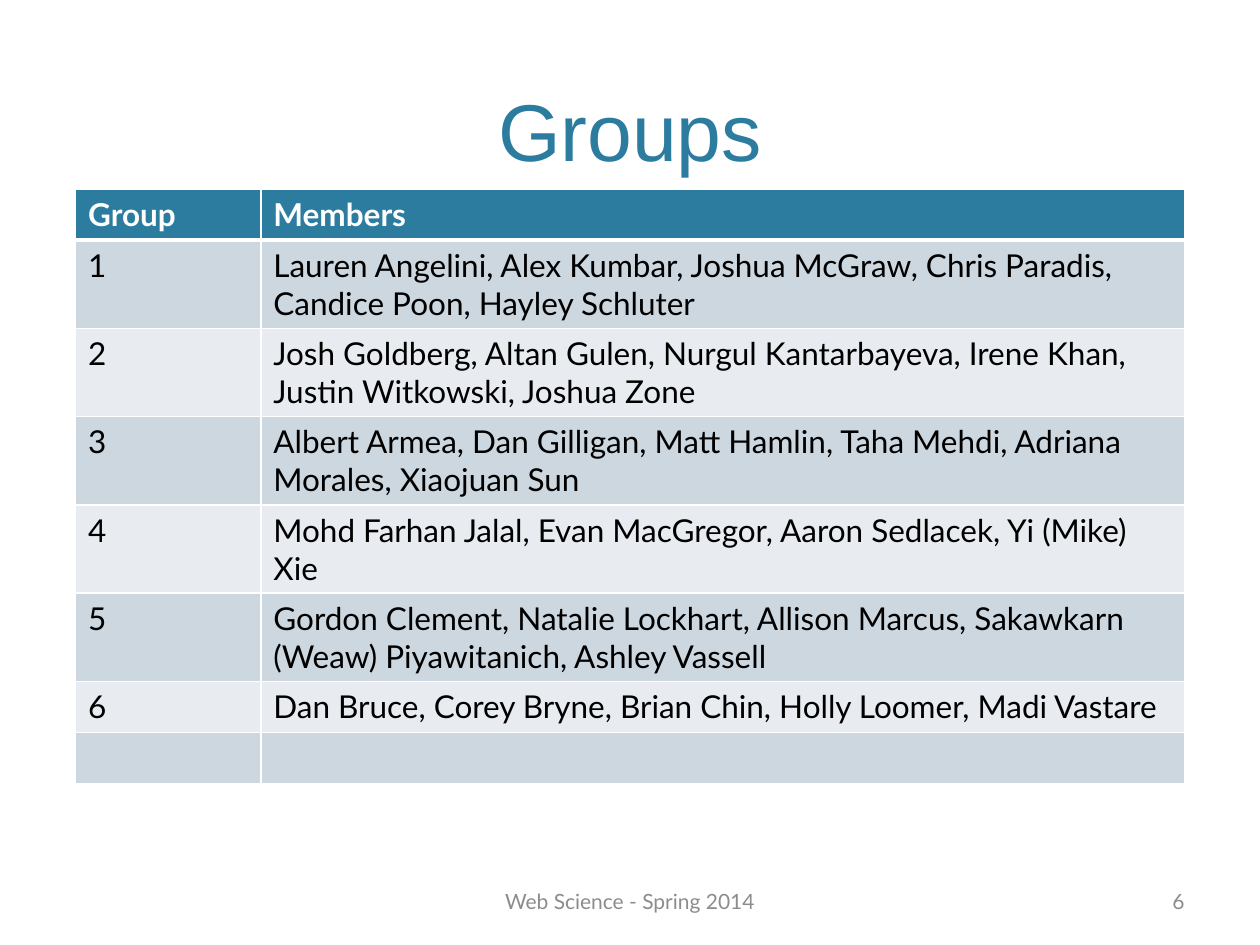
from dataclasses import dataclass

from lxml import etree
from pptx import Presentation
from pptx import util as u
from pptx.dml.color import RGBColor
from pptx.enum import text
from pptx.oxml import ns

COLORS = {
    "accent": "2C7C9F",
    "band_dark": "CDD7DF",
    "band_light": "E8ECF0",
    "white": "FFFFFF",
    "black": "000000",
    "footer": "8C8C8C",
}
ONE_LINE, TWO_LINES = 29.2, 50.4
COLUMN_WIDTHS = (105.84, 527.76)


@dataclass(frozen=True)
class Label:
    words: str
    left: float
    top: float
    width: float
    height: float
    size: float
    font: str
    color: str
    align: text.PP_ALIGN
    anchor: text.MSO_ANCHOR


@dataclass(frozen=True)
class GroupRow:
    name: str
    members: str
    height: float = TWO_LINES


LABELS = [
    Label("Groups", 43.2, 0, 633.6, 105.12, 46, "Arial", "accent",
          text.PP_ALIGN.CENTER, text.MSO_ANCHOR.BOTTOM),
    Label("Web Science - Spring 2014", 246, 500.4, 228, 28.8, 12, "Lato", "footer",
          text.PP_ALIGN.CENTER, text.MSO_ANCHOR.MIDDLE),
    Label("6", 516, 500.4, 168, 28.8, 12, "Lato", "footer",
          text.PP_ALIGN.RIGHT, text.MSO_ANCHOR.MIDDLE),
]

ROWS = [
    GroupRow("Group", "Members", ONE_LINE),
    GroupRow("1", "Lauren Angelini, Alex Kumbar, Joshua McGraw, Chris Paradis, "
                  "Candice Poon, Hayley Schluter"),
    GroupRow("2", "Josh Goldberg, Altan Gulen, Nurgul Kantarbayeva, Irene Khan, "
                  "Justin Witkowski, Joshua Zone"),
    GroupRow("3", "Albert Armea, Dan Gilligan, Matt Hamlin, Taha Mehdi, Adriana "
                  "Morales, Xiaojuan Sun"),
    GroupRow("4", "Mohd Farhan Jalal, Evan MacGregor, Aaron Sedlacek, Yi (Mike) Xie"),
    GroupRow("5", "Gordon Clement, Natalie Lockhart, Allison Marcus, Sakawkarn "
                  "(Weaw) Piyawitanich, Ashley Vassell"),
    GroupRow("6", "Dan Bruce, Corey Bryne, Brian Chin, Holly Loomer, Madi Vastare", ONE_LINE),
    GroupRow("", "", ONE_LINE),
]


def rgb(name: str) -> RGBColor:
    return RGBColor.from_string(COLORS[name])


def style(p, font: str, size: float, color: str, bold: bool = False) -> None:
    p.font.name = font
    p.font.size = u.Pt(size)
    p.font.bold = bold
    p.font.color.rgb = rgb(color)


def add_label(s, label: Label) -> None:
    sp = s.shapes.add_textbox(*map(u.Pt, (label.left, label.top, label.width, label.height)))
    tf = sp.text_frame
    tf.word_wrap = True
    tf.vertical_anchor = label.anchor
    p = tf.paragraphs[0]
    p.text = label.words
    p.alignment = label.align
    style(p, label.font, label.size, label.color)


def set_borders(cell, widths: dict[str, float]) -> None:
    props = cell._tc.get_or_add_tcPr()
    for index, (side, width) in enumerate(widths.items()):
        line = etree.Element(ns.qn(f"a:ln{side}"), w=str(u.Pt(width)))
        fill = etree.SubElement(line, ns.qn("a:solidFill"))
        etree.SubElement(fill, ns.qn("a:srgbClr"), val=COLORS["white"])
        props.insert(index, line)


def add_groups(s, rows: list[GroupRow]) -> None:
    frame = s.shapes.add_table(
        len(rows), len(COLUMN_WIDTHS), u.Pt(43.2), u.Pt(108),
        u.Pt(sum(COLUMN_WIDTHS)), u.Pt(sum(row.height for row in rows)))
    table = frame.table
    for column, width in zip(table.columns, COLUMN_WIDTHS):
        column.width = u.Pt(width)
    for i, row in enumerate(rows):
        table.rows[i].height = u.Pt(row.height)
        header = i == 0
        band = "accent" if header else "band_dark" if i % 2 else "band_light"
        for j, words in enumerate((row.name, row.members)):
            cell = table.cell(i, j)
            cell.fill.solid()
            cell.fill.fore_color.rgb = rgb(band)
            set_borders(cell, {"L": 1, "R": 1, "T": 3 if i == 1 else 1, "B": 3 if header else 1})
            p = cell.text_frame.paragraphs[0]
            if words:
                p.text = words
            style(p, "Lato", 18, "white" if header else "black", header)


prs = Presentation()
prs.slide_width, prs.slide_height = u.Pt(720), u.Pt(540)
s = prs.slides.add_slide(prs.slide_layouts[6])
for label in LABELS:
    add_label(s, label)
add_groups(s, ROWS)
prs.save("out.pptx")
